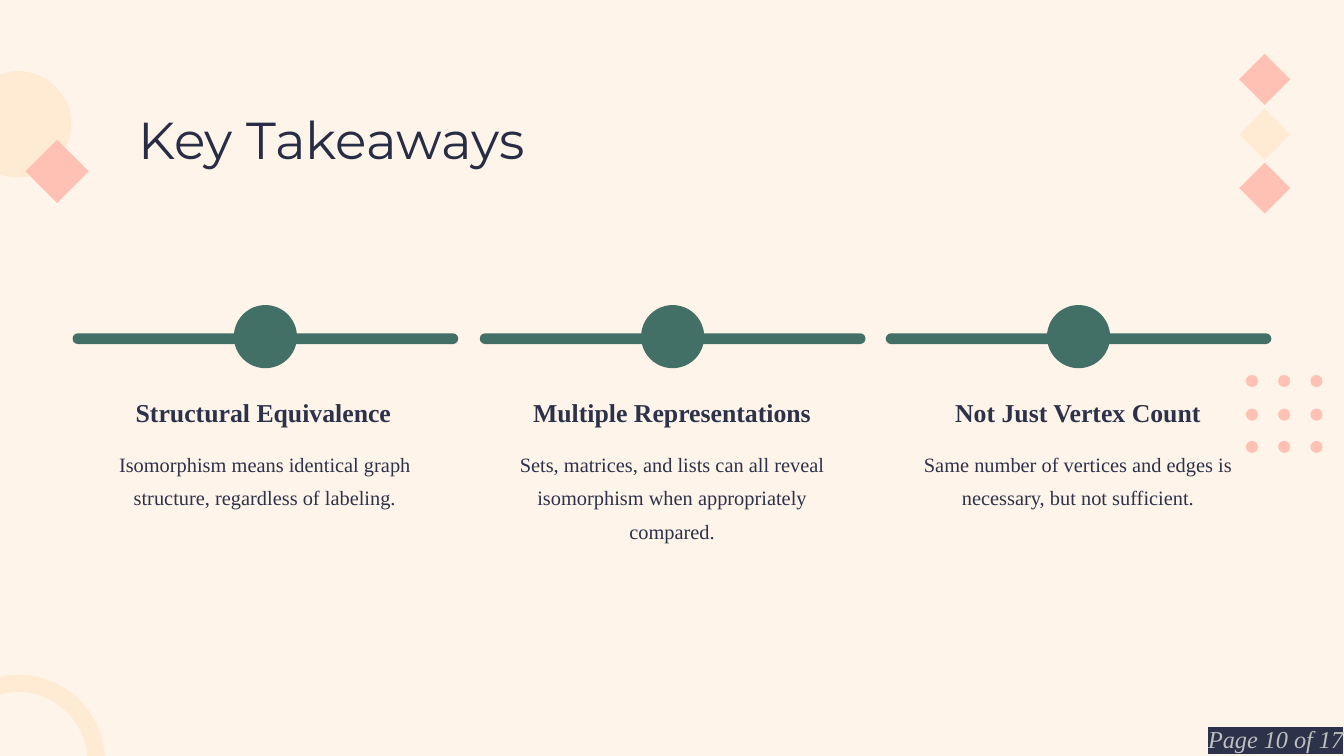
"""Build the Key Takeaways slide with three milestone columns."""
from lxml import etree
from pptx import Presentation
from pptx.dml.color import RGBColor
from pptx.enum.shapes import MSO_SHAPE
from pptx.enum.text import PP_ALIGN
from pptx.oxml.ns import qn
from pptx.util import Inches, Pt

OVAL = MSO_SHAPE.OVAL
DIAMOND = MSO_SHAPE.DIAMOND
ROUNDED = MSO_SHAPE.ROUNDED_RECTANGLE
BLOCK_ARC = MSO_SHAPE.BLOCK_ARC
LEFT, CENTER = PP_ALIGN.LEFT, PP_ALIGN.CENTER
SERIF = "Times New Roman"
COLORS = {
    "background": "FFF4E9",
    "cream": "FFEAD3",
    "pink": "FFC1B4",
    "green": "437066",
    "title": "272D45",
    "body": "2C3249",
    "page": "BFBFBF",
    "highlight": "2B3249",
}


def add_filled(kind, left, top, width, height, color):
    shape = slide.shapes.add_shape(
        kind, Inches(left), Inches(top), Inches(width), Inches(height))
    shape.shadow.inherit = False
    shape.fill.solid()
    shape.fill.fore_color.rgb = RGBColor.from_string(COLORS[color])
    shape.line.fill.background()
    return shape


def add_text(text, left, top, width, height, size, color, font=SERIF,
             spacing=None, align=LEFT, wrap=False, inset=(0, 0)):
    box = slide.shapes.add_textbox(
        Inches(left), Inches(top), Inches(width), Inches(height))
    frame = box.text_frame
    frame.word_wrap = wrap
    frame.margin_left = frame.margin_right = Inches(inset[0])
    frame.margin_top = frame.margin_bottom = Inches(inset[1])
    paragraph = frame.paragraphs[0]
    paragraph.text = text
    paragraph.alignment = align
    if spacing:
        paragraph.line_spacing = Pt(spacing)
    paragraph.font.name = font
    paragraph.font.size = Pt(size)
    paragraph.font.color.rgb = RGBColor.from_string(COLORS[color])
    return paragraph


presentation = Presentation()
presentation.slide_width = Inches(10)
presentation.slide_height = Inches(10) * 9 // 16
slide = presentation.slides.add_slide(presentation.slide_layouts[6])
slide.background.fill.solid()
slide.background.fill.fore_color.rgb = RGBColor.from_string(COLORS["background"])

add_filled(OVAL, -0.26, 0.53, 0.79, 0.79, "cream")
add_filled(DIAMOND, 0.19, 1.04, 0.47, 0.47, "pink")
for left in (9.27, 9.51, 9.75):
    for top in (2.79, 3.04, 3.28):
        add_filled(OVAL, left, top, 0.09, 0.09, "pink")
arc = add_filled(BLOCK_ARC, -0.51, 5.02, 1.29, 1.29, "cream")
arc.adjustments[2] = 0.1
for top, color in ((0.4, "pink"), (0.81, "cream"), (1.21, "pink")):
    add_filled(DIAMOND, 9.22, top, 0.38, 0.38, color)

add_text("Key Takeaways", 1.03, 0.78, 3.88, 0.48, 27.8, "title",
         font="Montserrat", spacing=34.7)

takeaways = [
    (0.54, "Structural Equivalence", 0.99, 1.94,
     "Isomorphism means identical graph structure, regardless of labeling."),
    (3.57, "Multiple Representations", 3.94, 2.12,
     "Sets, matrices, and lists can all reveal isomorphism when appropriately compared."),
    (6.59, "Not Just Vertex Count", 7.05, 1.94,
     "Same number of vertices and edges is necessary, but not sufficient."),
]
for left, heading, heading_left, heading_width, body in takeaways:
    bar = add_filled(ROUNDED, left, 2.48, 2.87, 0.08, "green")
    bar.adjustments[0] = 0.5
    add_filled(OVAL, left + 1.2, 2.27, 0.47, 0.47, "green")
    paragraph = add_text(heading, heading_left, 2.94, heading_width, 0.24, 13.8, "body",
                         spacing=17.2, align=CENTER)
    paragraph.font.bold = True
    add_text(body, left + 0.17, 3.3, 2.52, 0.74, 10.9, "body",
             spacing=17.8, align=CENTER, wrap=True)

page = add_text("Page 10 of 17", 8.89, 5.34, 1.28, 0.32, 13, "page",
                wrap=True, inset=(0.1, 0.05))
page.font.italic = True
run_properties = page.runs[0].font._element
highlight = etree.SubElement(run_properties, qn("a:highlight"))
etree.SubElement(highlight, qn("a:srgbClr"), val=COLORS["highlight"])

presentation.save("out.pptx")
